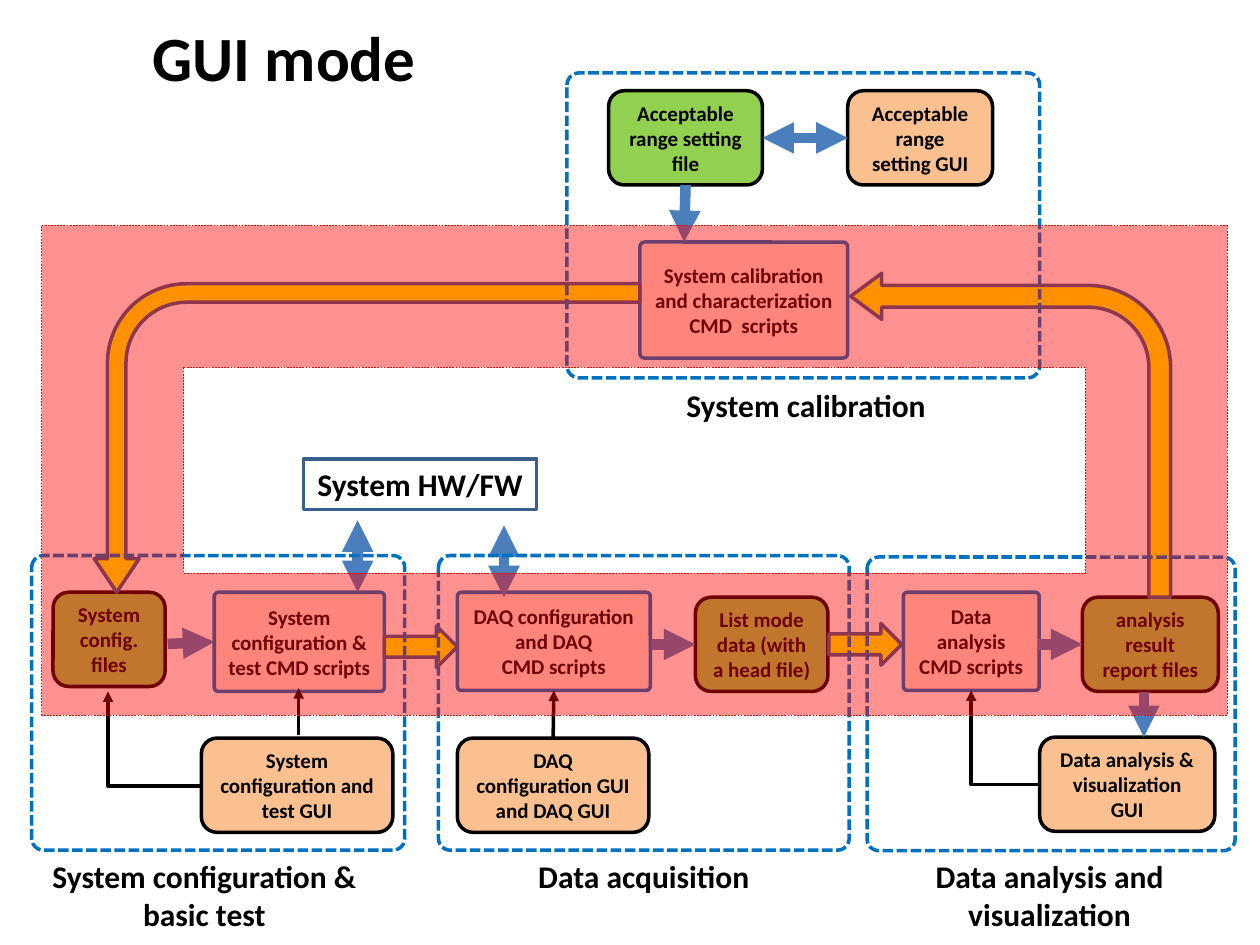
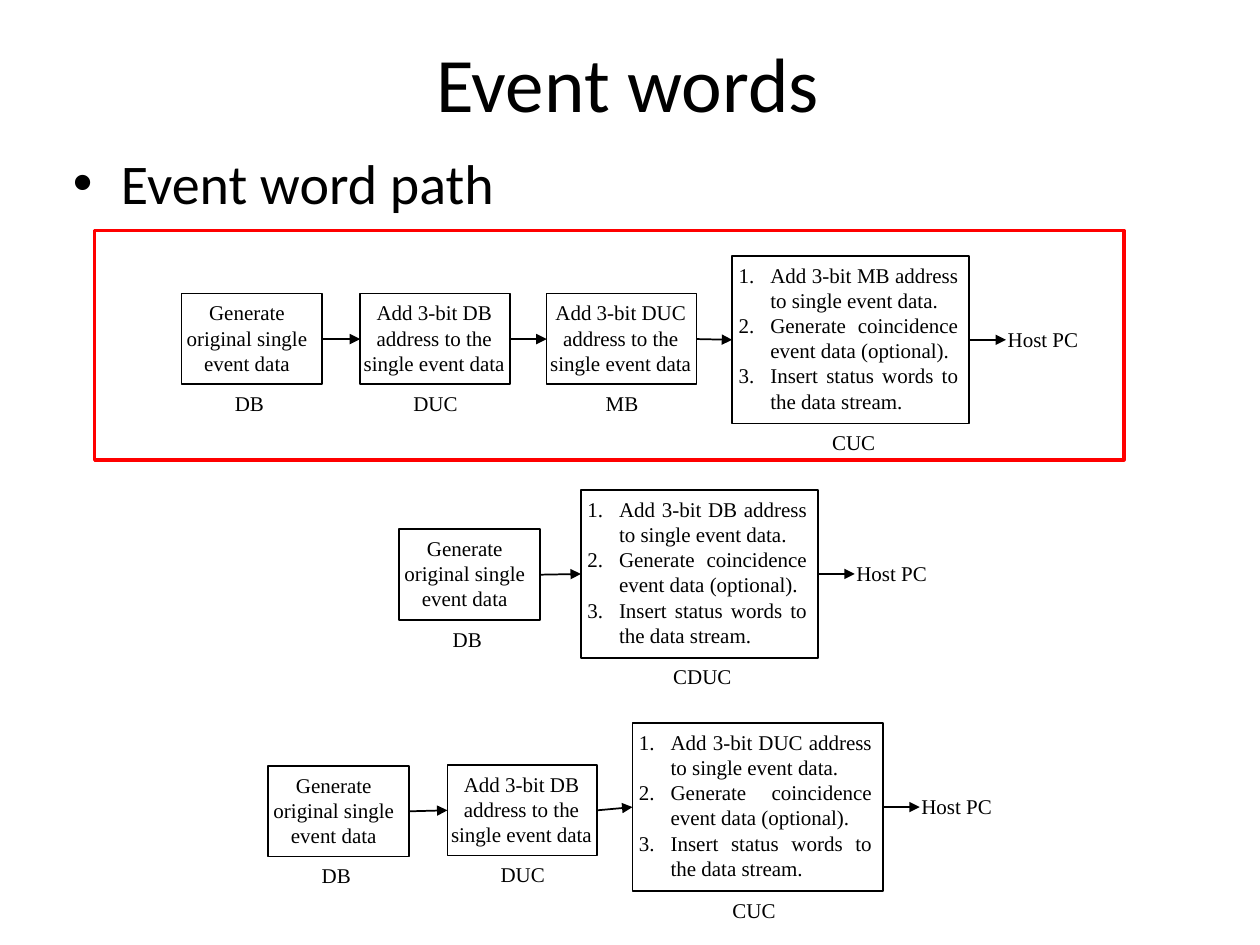
from lxml import etree
from pptx import Presentation
from pptx.dml.color import RGBColor
from pptx.enum.dml import MSO_LINE
from pptx.enum.shapes import MSO_CONNECTOR, MSO_SHAPE as Kind
from pptx.enum.text import MSO_ANCHOR, PP_ALIGN
from pptx.oxml.ns import qn
from pptx.util import Cm, Pt

COLORS = {
    "black": "000000", "red": "FF0000", "blue": "0070C0", "navy": "3A5F8C",
    "steel": "4B7EBC", "cream": "FDEADA", "green": "92D050",
    "peach": "FAC090", "yellow": "FFFF00",
}
SANS, SERIF = "Calibri", "Times New Roman"
TOP, LEFT, BOTTOM, RIGHT = range(4)


def add_block(page, kind, place, lines=(), size=12, font=SANS, bold=True,
              fill=None, line=None, points=2, corner=None, anchor=MSO_ANCHOR.MIDDLE):
    """Add a shape, or a text box when kind is None, with centred lines of text."""
    place = [Cm(length) for length in place]
    if kind is None:
        box = page.shapes.add_textbox(*place)
    else:
        box = page.shapes.add_shape(kind, *place)
        box.shadow.inherit = False
    if corner is not None:
        box.adjustments[0] = corner
    if fill:
        box.fill.solid()
        box.fill.fore_color.rgb = RGBColor.from_string(COLORS[fill])
    else:
        box.fill.background()
    if line:
        box.line.color.rgb = RGBColor.from_string(COLORS[line])
        box.line.width = Pt(points)
    else:
        box.line.fill.background()
    frame = box.text_frame
    frame.word_wrap = True
    frame.vertical_anchor = anchor
    for number, text in enumerate(lines):
        para = frame.add_paragraph() if number else frame.paragraphs[0]
        para.text = text
        para.alignment = PP_ALIGN.CENTER
        para.font.name, para.font.size, para.font.bold = font, Pt(size), bold
        para.font.color.rgb = RGBColor.from_string(COLORS["black"])
    return box


def add_arrow(page, start, end, color="black", points=1, both=False, bent=False):
    """Draw an arrow; each end is a point (x, y) or a joint (box, side)."""
    joined = [not isinstance(tip[0], (int, float)) for tip in (start, end)]
    points_xy = [(0, 0) if joint else tip for joint, tip in zip(joined, (start, end))]
    arrow = page.shapes.add_connector(
        MSO_CONNECTOR.ELBOW if bent else MSO_CONNECTOR.STRAIGHT,
        *[Cm(length) for point in points_xy for length in point])
    if joined[0]:
        arrow.begin_connect(*start)
    if joined[1]:
        arrow.end_connect(*end)
    arrow.line.color.rgb = RGBColor.from_string(COLORS[color])
    arrow.line.width = Pt(points)
    properties = arrow._element.spPr
    if bent:
        properties.find(qn("a:prstGeom")).set("prst", "bentConnector2")
    outline = properties.find(qn("a:ln"))
    for tag in (["a:headEnd"] if both else []) + ["a:tailEnd"]:
        etree.SubElement(outline, qn(tag), type="triangle")
    etree.SubElement(properties, qn("a:effectLst"))


deck = Presentation()
deck.slide_width, deck.slide_height = Cm(25.4), Cm(19.05)
blank = deck.slide_layouts[6]

# ---- Slide 1: GUI mode ----
page = deck.slides.add_slide(blank)

# Scripts, files and GUIs
styles = {
    "script": dict(fill="cream", line="blue", corner=0.04),
    "file": dict(fill="green", line="black"),
    "gui": dict(fill="peach", line="black"),
}
boxes = {}
for name, style, place, lines in [
    ("analysis", "script", (18.21, 11.94, 2.74, 1.98), ["Data analysis CMD scripts"]),
    ("list data", "file", (14.02, 12.04, 2.67, 1.9), ["List mode data (with a head file)"]),
    ("report", "file", (21.82, 12.04, 2.74, 1.9), ["analysis result report files"]),
    ("calibration", "script", (12.9, 4.88, 4.19, 2.34),
     ["System calibration and characterization", "CMD  scripts"]),
    ("range file", "file", (12.27, 1.83, 3.1, 1.9), ["Acceptable range setting file"]),
    ("range gui", "gui", (17.09, 1.83, 2.92, 1.9), ["Acceptable range setting GUI"]),
    ("analysis gui", "gui", (20.96, 14.86, 3.53, 1.9), ["Data analysis & visualization GUI"]),
    ("daq", "script", (9.22, 11.94, 3.89, 1.98),
     ["DAQ configuration and DAQ", "CMD scripts"]),
    ("daq gui", "gui", (9.22, 14.88, 3.86, 1.9), ["DAQ configuration GUI and DAQ GUI"]),
    ("system", "script", (4.32, 11.94, 3.43, 2), ["System configuration & test CMD scripts"]),
    ("config", "file", (1.07, 11.94, 2.26, 1.9), ["System config. files"]),
    ("system gui", "gui", (4.06, 14.88, 3.86, 1.9), ["System configuration and test GUI"]),
]:
    boxes[name] = add_block(page, Kind.ROUNDED_RECTANGLE, place, lines, **styles[style])

hardware = add_block(page, Kind.RECTANGLE, (6.12, 9.25, 4.7, 1.02), ["System HW/FW"],
                     size=18, line="navy")
hardware.text_frame.word_wrap = False

# Yellow block arrows of the main loop
for kind, place, turn, adjustments in [
    (Kind.BENT_ARROW, (17.15, 5.51, 6.45, 6.53), 0, (0.068, 0.072, 0.097, 0.257)),
    (Kind.BENT_ARROW, (4.29, 3.33, 6.22, 11), 270, (0.06, 0.073, 0.109, 0.257)),
    (Kind.RIGHT_ARROW, (16.71, 12.57, 1.47, 0.84), 0, ()),
    (Kind.RIGHT_ARROW, (7.75, 12.62, 1.47, 0.84), 0, ()),
]:
    loop_arrow = add_block(page, kind, place, fill="yellow", line="navy")
    loop_arrow.rotation = turn
    for index, value in enumerate(adjustments):
        loop_arrow.adjustments[index] = value
    if kind == Kind.BENT_ARROW:
        loop_arrow._element.spPr.xfrm.set("flipH", "1")

# Thick data arrows
for start, end, both in [
    ((20.93, 12.99), (boxes["report"], LEFT), False),
    ((13.13, 12.99), (boxes["list data"], LEFT), False),
    ((3.38, 12.98), (boxes["system"], LEFT), False),
    ((23.06, 13.94), (23.06, 14.86), False),
    ((boxes["range file"], BOTTOM), (13.79, 4.88), False),
    ((boxes["range file"], RIGHT), (boxes["range gui"], LEFT), True),
    ((10.16, 10.59), (10.16, 12.04), True),
    ((7.21, 10.49), (7.21, 11.94), True),
]:
    add_arrow(page, start, end, "steel", 6, both)

# Thin arrows from the GUIs
add_arrow(page, (20.96, 15.82), (19.58, 13.92), points=2, bent=True)
add_arrow(page, (4.06, 15.85), (2.18, 13.94), points=2, bent=True)
add_arrow(page, (boxes["daq gui"], TOP), (boxes["daq"], BOTTOM), points=2)
add_arrow(page, (6.02, 14.81), (6.02, 13.87), points=2)

# Dashed stages and their captions
for stage, caption, text in [
    ((11.43, 1.47, 9.53, 6.15), (13.5, 7.65, 5.5, 1.02), "System calibration"),
    ((17.48, 11.23, 7.42, 5.92), (17.45, 17.15, 7.42, 1.8), "Data analysis and visualization"),
    ((0.64, 11.2, 7.52, 5.94), (0.08, 17.15, 8.08, 1.8), "System configuration & basic test"),
    ((8.84, 11.2, 8.28, 5.94), (8.94, 17.15, 8.08, 1.02), "Data acquisition"),
]:
    outline = add_block(page, Kind.ROUNDED_RECTANGLE, stage, line="blue", corner=0.04)
    outline.line.dash_style = MSO_LINE.SQUARE_DOT
    add_block(page, None, caption, [text], size=18, anchor=MSO_ANCHOR.TOP)

# Translucent red band over the loop
band = add_block(page, Kind.FRAME, (0.84, 4.55, 23.9, 9.86), fill="red", line="red",
                 points=0.25, corner=0.29)
band.line.dash_style = MSO_LINE.DASH
band_color = band._element.spPr.find(qn("a:solidFill"))[0]
etree.SubElement(band_color, qn("a:alpha"), val="43000")

add_block(page, None, (1.07, 0.08, 9.32, 2.11), ["GUI mode"], size=36)

# ---- Slide 2: Event words ----
page = deck.slides.add_slide(blank)
add_block(page, None, (1.22, 0.05, 22.86, 3.18), ["Event words"], size=44, bold=False)
body = add_block(page, None, (1.22, 2.87, 22.86, 12.57), ["Event word path"],
                 size=32, bold=False, anchor=MSO_ANCHOR.TOP)
para = body.text_frame.paragraphs[0]
para.alignment = PP_ALIGN.LEFT
para.space_before = Pt(6.4)
settings = para._p.get_or_add_pPr()
settings.set("marL", str(Cm(0.97)))
settings.set("indent", str(-Cm(0.97)))
etree.SubElement(settings, qn("a:buFont"), typeface="Arial")
etree.SubElement(settings, qn("a:buChar"), char="•")
# Bullets come before the default run properties
for default in settings.findall(qn("a:defRPr")):
    settings.append(default)

# Paths: each step is (label, left, top, width)
paths = [
    [("DB", 3.66, 5.92, 2.84), ("DUC", 7.26, 5.92, 3.02),
     ("MB", 11.02, 5.92, 3.02), ("CUC", 14.76, 5.16, 4.78)],
    [("DB", 8.05, 10.67, 2.84), ("CDUC", 11.71, 9.88, 4.78)],
    [("DB", 5.41, 15.44, 2.84), ("DUC", 9.02, 15.42, 3.02), ("CUC", 12.75, 14.58, 5.05)],
]
plain = dict(font=SERIF, bold=False, anchor=MSO_ANCHOR.TOP)
for path in paths:
    previous_box = previous_label = None
    for label, left, top, width in path:
        last = label == path[-1][0]
        height = 3.38 if last else 1.83
        box = add_block(page, Kind.RECTANGLE, (left, top, width, height),
                        line="black", points=1)
        if previous_box is None:
            lines = ["Generate original single event data"]
            text_left, text_width, label_shift = left - 0.2, width + 0.2, 0.05
        elif last:
            lines = [f"Add 3-bit {previous_label} address to single event data.",
                     "Generate coincidence event data (optional).",
                     "Insert status words to the data stream."]
            text_left, text_width, label_shift = left - 0.12, width + 0.15, 1.13
        else:
            lines = [f"Add 3-bit {previous_label}", "address to the", "single event data"]
            text_left, text_width, label_shift = left - 0.24, width + 0.45, 0.2
        words = add_block(page, None, (text_left, top, text_width, height), lines, **plain)
        add_block(page, None, (left + label_shift, top + height, 2.64, 0.76), [label], **plain)
        if last:
            for para in words.text_frame.paragraphs:
                para.alignment = PP_ALIGN.JUSTIFY
                settings = para._p.get_or_add_pPr()
                settings.set("marL", str(Cm(0.64)))
                settings.set("indent", str(-Cm(0.64)))
                settings.insert(0, etree.Element(qn("a:buAutoNum"), type="arabicPeriod"))
        if previous_box is not None:
            add_arrow(page, (previous_box, RIGHT), (box, LEFT))
        previous_box, previous_label = box, label
    # Way out to the host
    edge = left + width
    add_block(page, None, (edge + 0.43, top + 1.3, 2.11, 0.76), ["Host PC"], **plain)
    add_arrow(page, (box, RIGHT), (edge + 0.74, top + height / 2))

# Red outline around the first path
add_block(page, Kind.RECTANGLE, (1.91, 4.65, 20.75, 4.62), line="red")

deck.save("out.pptx")
